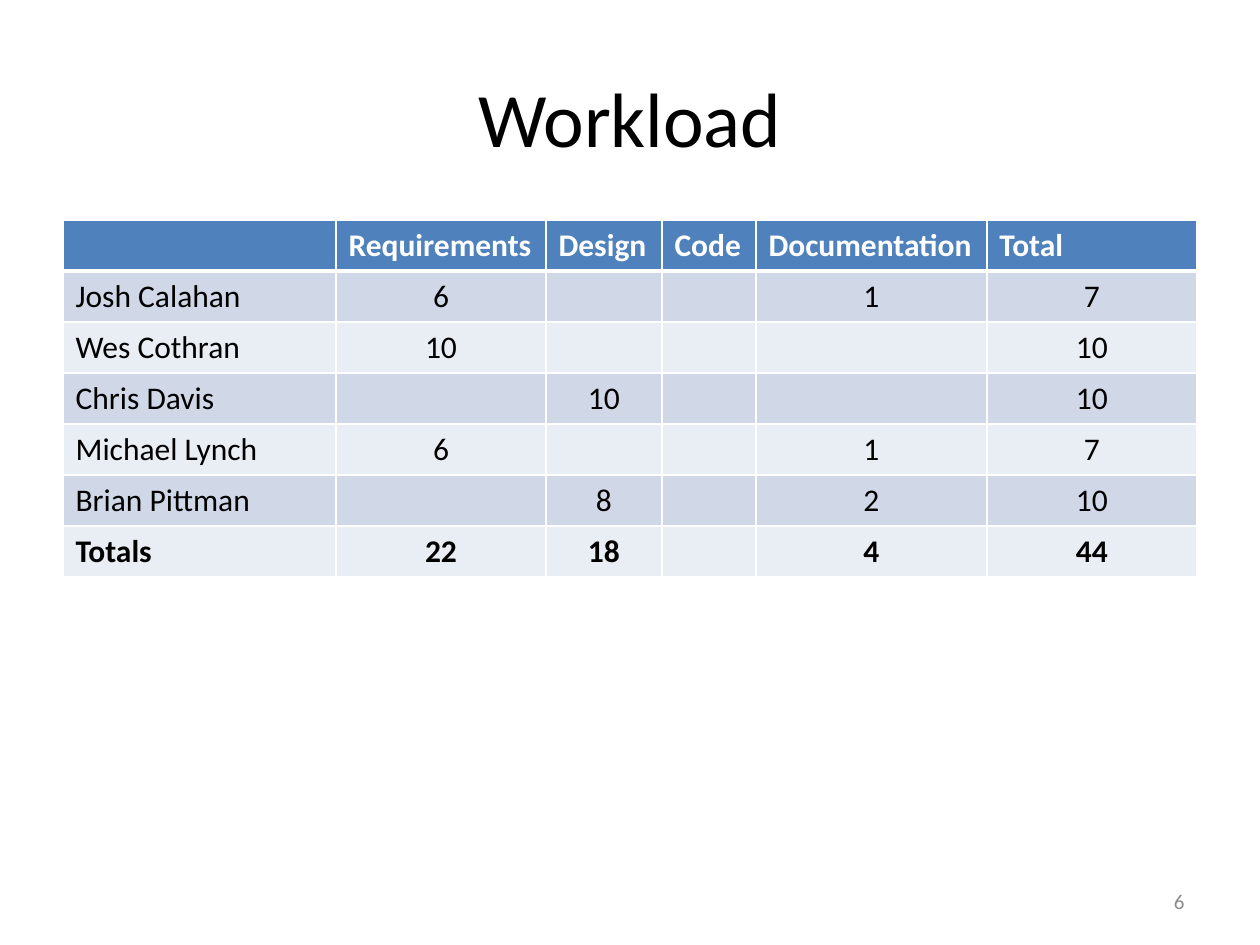
"""Build the Workload slide: a title, a table of hours per person and a page number."""
from lxml import etree
from pptx import Presentation
from pptx.dml.color import RGBColor
from pptx.enum.text import MSO_ANCHOR, PP_ALIGN
from pptx.oxml.ns import qn
from pptx.util import Pt

LEFT, CENTER, RIGHT = PP_ALIGN.LEFT, PP_ALIGN.CENTER, PP_ALIGN.RIGHT
MIDDLE = MSO_ANCHOR.MIDDLE
BLACK = RGBColor(0x00, 0x00, 0x00)
WHITE = RGBColor(0xFF, 0xFF, 0xFF)
GRAY = RGBColor(0x8C, 0x8C, 0x8C)
HEADER_BLUE = RGBColor(0x4F, 0x81, 0xBD)
BANDS = (RGBColor(0xE9, 0xED, 0xF4), RGBColor(0xD0, 0xD8, 0xE8))
FONT = "Calibri"
EMU_PER_PX = 914400 / 126

SLIDE_SIZE = (1260, 945)
TEXTS = [
    ("Workload", (63, 38, 1134, 157), CENTER, {"size": Pt(44)}, BLACK),
    ("6", (903, 876, 294, 50), RIGHT, {"size": Pt(12)}, GRAY),
]
ROWS = [
    ("", "Requirements", "Design", "Code", "Documentation", "Total"),
    ("Josh Calahan", "6", "", "", "1", "7"),
    ("Wes Cothran", "10", "", "", "", "10"),
    ("Chris Davis", "", "10", "", "", "10"),
    ("Michael Lynch", "6", "", "", "1", "7"),
    ("Brian Pittman", "", "8", "", "2", "10"),
    ("Totals", "22", "18", "", "4", "44"),
]
TABLE_LEFT, TABLE_TOP = 63, 220
COLUMN_WIDTHS = (273, 210, 116, 94, 231, 210)
ROW_HEIGHT = 51


def px(length):
    """Turn px into EMU."""
    return round(length * EMU_PER_PX)


def write(paragraph, text, alignment, font_values, color):
    """Put one formatted run into a paragraph."""
    paragraph.alignment = alignment
    run = paragraph.add_run()
    run.text = text
    for name, value in {"name": FONT, **font_values}.items():
        setattr(run.font, name, value)
    run.font.color.rgb = color


def add_text(slide, text, box, alignment, font_values, color):
    """Add a vertically centred text box."""
    frame = slide.shapes.add_textbox(*map(px, box)).text_frame
    frame.word_wrap = True
    frame.vertical_anchor = MIDDLE
    write(frame.paragraphs[0], text, alignment, font_values, color)


def add_borders(cell, widths):
    """Draw white cell borders with the given widths in points."""
    properties = cell._tc.get_or_add_tcPr()
    for side, width in widths.items():
        line = etree.SubElement(properties, qn(f"a:ln{side}"), w=str(Pt(width)))
        fill = etree.SubElement(line, qn("a:solidFill"))
        etree.SubElement(fill, qn("a:srgbClr"), val=str(WHITE))


def add_workload_table(slide):
    """Add the table with its header, bands and bold totals."""
    table = slide.shapes.add_table(
        len(ROWS), len(COLUMN_WIDTHS), px(TABLE_LEFT), px(TABLE_TOP),
        px(sum(COLUMN_WIDTHS)), px(ROW_HEIGHT * len(ROWS))).table
    for column, width in zip(table.columns, COLUMN_WIDTHS):
        column.width = px(width)
    for row_index, values in enumerate(ROWS):
        table.rows[row_index].height = px(ROW_HEIGHT)
        is_header = row_index == 0
        font_values = {"size": Pt(18), "bold": is_header or row_index == len(ROWS) - 1}
        borders = {"L": 1, "R": 1, "T": 3 if row_index == 1 else 1, "B": 3 if is_header else 1}
        for column_index, text in enumerate(values):
            cell = table.cell(row_index, column_index)
            add_borders(cell, borders)
            cell.fill.solid()
            cell.fill.fore_color.rgb = HEADER_BLUE if is_header else BANDS[row_index % 2]
            if text:
                alignment = LEFT if is_header or column_index == 0 else CENTER
                write(cell.text_frame.paragraphs[0], text, alignment, font_values,
                      WHITE if is_header else BLACK)


def main():
    """Build and save the presentation."""
    presentation = Presentation()
    presentation.slide_width, presentation.slide_height = map(px, SLIDE_SIZE)
    slide = presentation.slides.add_slide(presentation.slide_layouts[6])
    title, page_number = TEXTS
    add_text(slide, *title)
    add_workload_table(slide)
    add_text(slide, *page_number)
    presentation.save("out.pptx")


if __name__ == "__main__":
    main()
